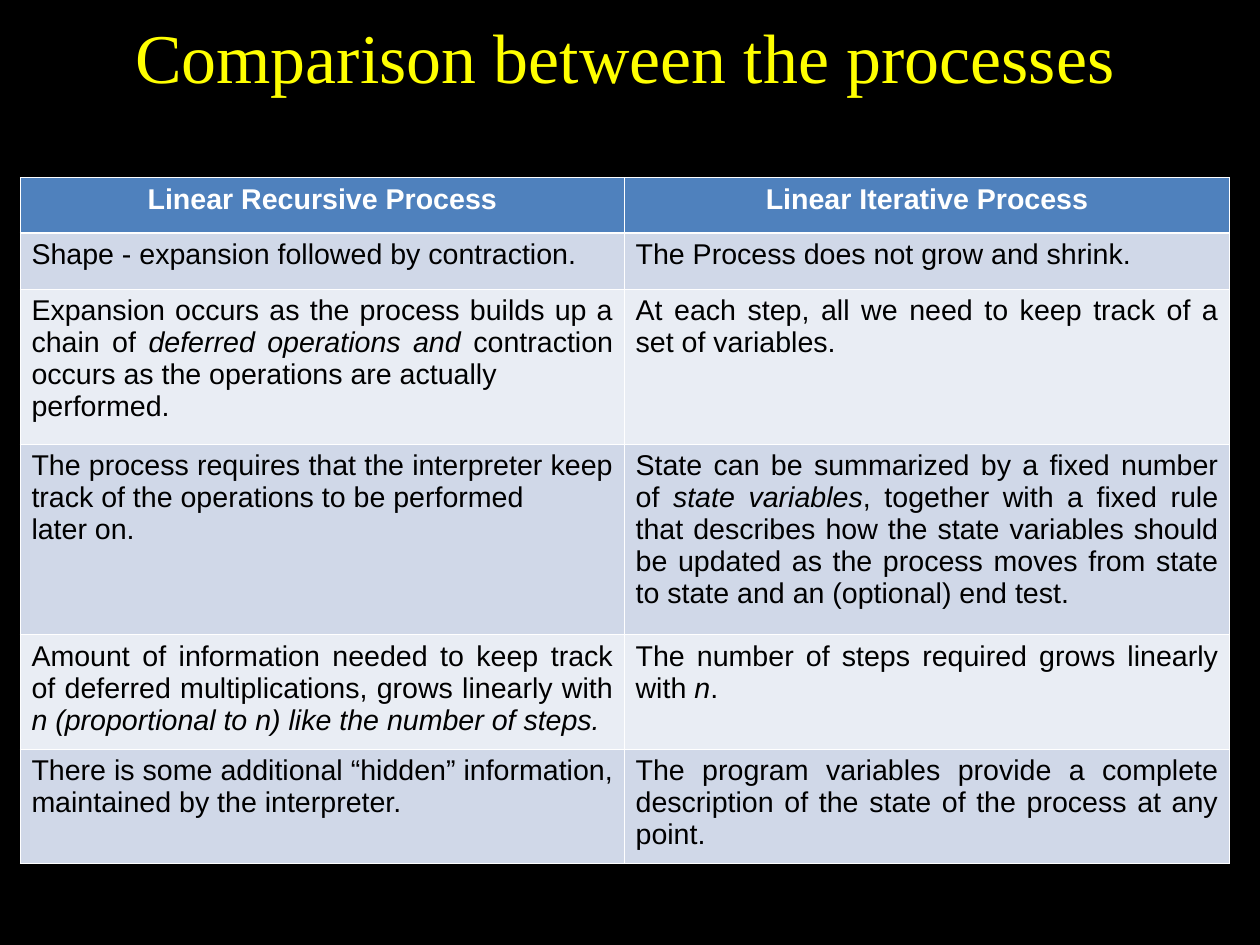
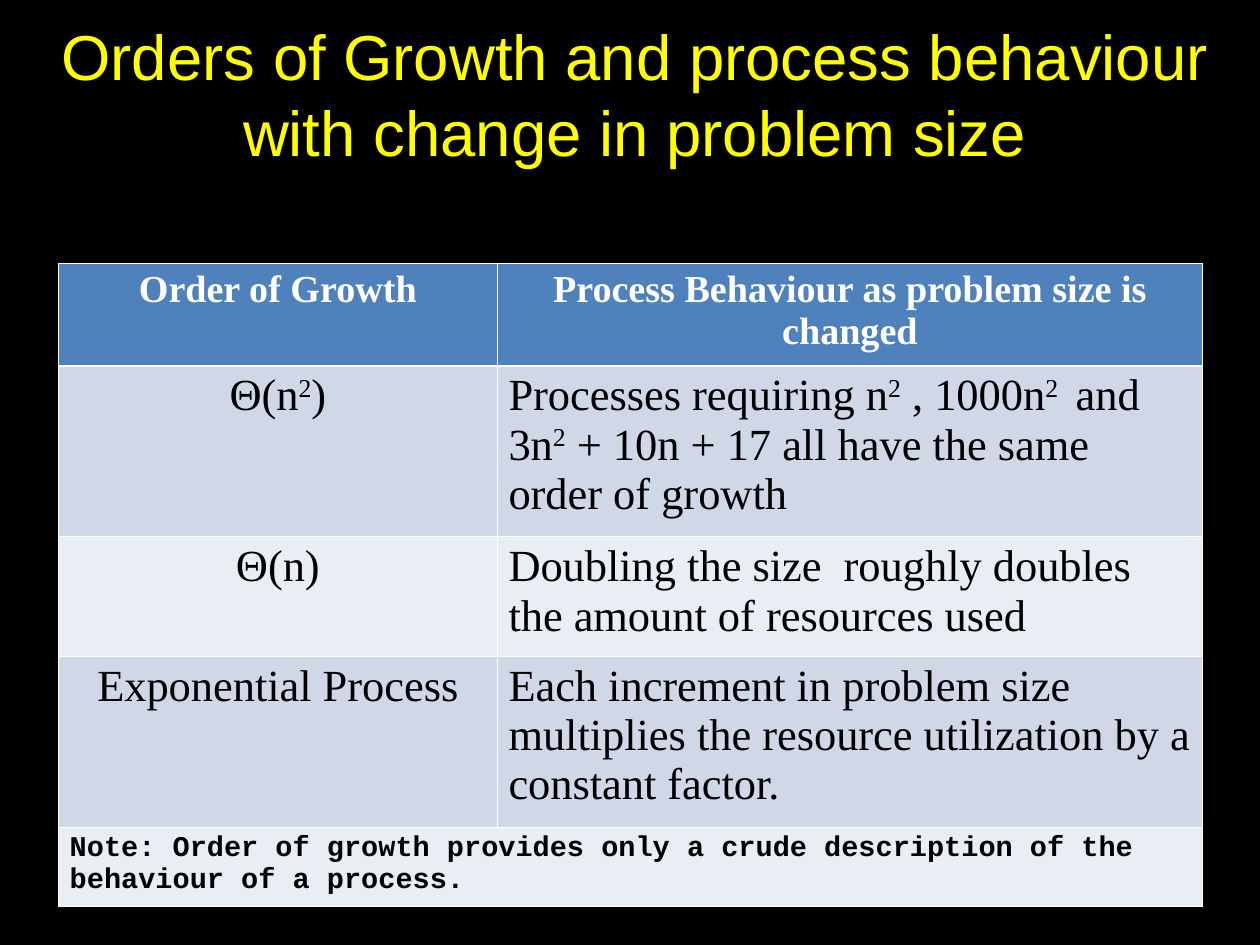
from dataclasses import dataclass

from lxml import etree
from pptx import Presentation
from pptx.dml.color import RGBColor
from pptx.enum.text import MSO_ANCHOR, MSO_AUTO_SIZE, PP_ALIGN
from pptx.oxml.ns import qn
from pptx.util import Pt

PX = 9000
LEFT, MID, JUST = PP_ALIGN.LEFT, PP_ALIGN.CENTER, PP_ALIGN.JUSTIFY
CENTER, FIXED = MSO_ANCHOR.MIDDLE, MSO_AUTO_SIZE.NONE


@dataclass(frozen=True)
class Theme:
    """Colours, fonts and type sizes of the deck."""
    back: str = "000000"
    title: str = "FFFF00"
    head: str = "4F81BD"
    bands: tuple = ("D0D8E8", "E9EDF4")
    light: str = "FFFFFF"
    dark: str = "000000"
    sans: str = "Arial"
    serif: str = "Times New Roman"
    mono: str = "Courier New"
    large: int = 44
    big: int = 40
    body: int = 28
    mid: int = 24
    small: int = 18
    thin: float = 0.45
    thick: float = 1.47


T = Theme()

PROCESS = [
    ("Linear Recursive Process", "Linear Iterative Process"),
    ("Shape - expansion followed by contraction.",
     "The Process does not grow and shrink."),
    ("Expansion occurs as the process builds up a chain of "
     "_deferred operations and _contraction occurs as the operations "
     "are actually\nperformed.",
     "At each step, all we need to keep track of a set of variables."),
    ("The process requires that the interpreter keep track of the "
     "operations to be performed\nlater on.",
     "State can be summarized by a fixed number of _state variables_, "
     "together with a fixed rule that describes how the state variables "
     "should be updated as the process moves from state to state and an "
     "(optional) end test."),
    ("Amount of information needed to keep track of deferred "
     "multiplications, grows linearly with "
     "_n (proportional to n) like the number of steps._",
     "The number of steps required grows linearly with _n_."),
    ("There is some additional “hidden” information, maintained by the "
     "interpreter.",
     "The program variables provide a complete description of the state "
     "of the process at any point."),
]

GROWTH = [
    ("Order of Growth", "Process Behaviour as problem size is changed"),
    ("Θ(n^2^)",
     "Processes requiring n^2^ , 1000n^2 ^ and 3n^2^ + 10n + 17 all have "
     "the same order of growth"),
    ("Θ(n)",
     "Doubling the size  roughly doubles the amount of resources used"),
    ("Exponential Process",
     "Each increment in problem size multiplies the resource utilization "
     "by a constant factor."),
    ("Note: Order of growth provides only a crude description of the "
     "behaviour of a process.",),
]


def apply(item, values):
    """Set attributes from a dict of format values."""
    for name, value in values.items():
        setattr(item, name, value)


def inset(item, wide, high):
    """Set the margins of a frame or cell."""
    apply(item, {"margin_left": wide * PX, "margin_right": wide * PX,
                 "margin_top": high * PX, "margin_bottom": high * PX})


def style(size, face, bold=False):
    """Return the format values of a font."""
    return {"size": Pt(size), "name": face, "bold": bold}


def add_runs(para, text, font, color):
    """Write runs, with _italic_ and ^raised^ marks."""
    for i, part in enumerate(text.split("_")):
        for j, piece in enumerate(part.split("^")):
            if not piece:
                continue
            run = para.add_run()
            run.text = piece
            apply(run.font, font | {"italic": i % 2 == 1})
            run.font.color.rgb = RGBColor.from_string(color)
            if j % 2:
                run._r.get_or_add_rPr().set("baseline", "30000")


def write(frame, text, font, color, align):
    """Fill a text frame, one paragraph a line."""
    for n, line in enumerate(text.split("\n")):
        para = frame.add_paragraph() if n else frame.paragraphs[0]
        para.alignment = align
        add_runs(para, line, font, color)


def add_title(slide, text, box, font):
    """Place and format the title placeholder."""
    title = slide.shapes.title
    names = ("left", "top", "width", "height")
    apply(title, {name: v * PX for name, v in zip(names, box)})
    frame = title.text_frame
    inset(frame, 0, 0)
    apply(frame, {"word_wrap": True, "auto_size": FIXED,
                  "vertical_anchor": CENTER})
    write(frame, text, font, T.title, MID)


def set_edges(cell, widths):
    """Draw the four borders of a cell."""
    props = cell._tc.get_or_add_tcPr()
    for n, (side, width) in enumerate(widths.items()):
        line = etree.Element(qn(f"a:ln{side}"), w=str(int(Pt(width))))
        fill = etree.SubElement(line, qn("a:solidFill"))
        etree.SubElement(fill, qn("a:srgbClr"), val=T.light)
        props.insert(n, line)


def paint(cell, row):
    """Set the margins, fill and borders of a cell by its row."""
    inset(cell, 10, 5)
    cell.fill.solid()
    color = T.bands[(row - 1) % 2] if row else T.head
    cell.fill.fore_color.rgb = RGBColor.from_string(color)
    set_edges(cell, {"L": T.thin, "R": T.thin,
                     "T": T.thick if row == 1 else T.thin,
                     "B": T.thick if row == 0 else T.thin})


def add_grid(slide, data, spot, cols, rows, head, body, aligns, note=None):
    """Add a table; a note font marks a last row that spans all columns."""
    left, top = spot
    frame = slide.shapes.add_table(
        len(rows), len(cols), left * PX, top * PX,
        sum(cols) * PX, sum(rows) * PX)
    table = frame.table
    for col, width in zip(table.columns, cols):
        col.width = width * PX
    for row, height in zip(table.rows, rows):
        row.height = height * PX
    last = len(rows) - 1
    if note:
        table.cell(last, 0).merge(table.cell(last, len(cols) - 1))
    for r, texts in enumerate(data):
        for c, text in enumerate(texts):
            cell = table.cell(r, c)
            paint(cell, r)
            font, color, align = body, T.dark, aligns[c]
            if r == 0:
                font, color, align = head, T.light, MID
            elif note and r == last:
                font, align = note, LEFT
            write(cell.text_frame, text, font, color, align)


def main():
    """Build and save the deck."""
    deck = Presentation()
    apply(deck, {"slide_width": 1120 * PX, "slide_height": 840 * PX})
    fill = deck.slide_master.background.fill
    fill.solid()
    fill.fore_color.rgb = RGBColor.from_string(T.back)
    layout = deck.slide_layouts[5]

    slide = deck.slides.add_slide(layout)
    add_title(slide, "Comparison between the processes",
              (52, 1, 1008, 96), style(T.large, T.serif))
    add_grid(slide, PROCESS, (18, 158), (537, 538),
             (49, 50, 138, 169, 102, 101),
             style(T.small, T.sans, True), style(T.small, T.sans),
             (JUST, JUST))

    slide = deck.slides.add_slide(layout)
    add_title(slide, "Orders of Growth and process behaviour "
              "with change in problem size",
              (18, 13, 1092, 140), style(T.big, T.sans))
    add_grid(slide, GROWTH, (52, 234), (390, 627),
             (91, 152, 106, 152, 71),
             style(T.mid, T.serif, True), style(T.body, T.serif),
             (MID, LEFT), style(T.small, T.mono, True))

    deck.save("out.pptx")


if __name__ == "__main__":
    main()
